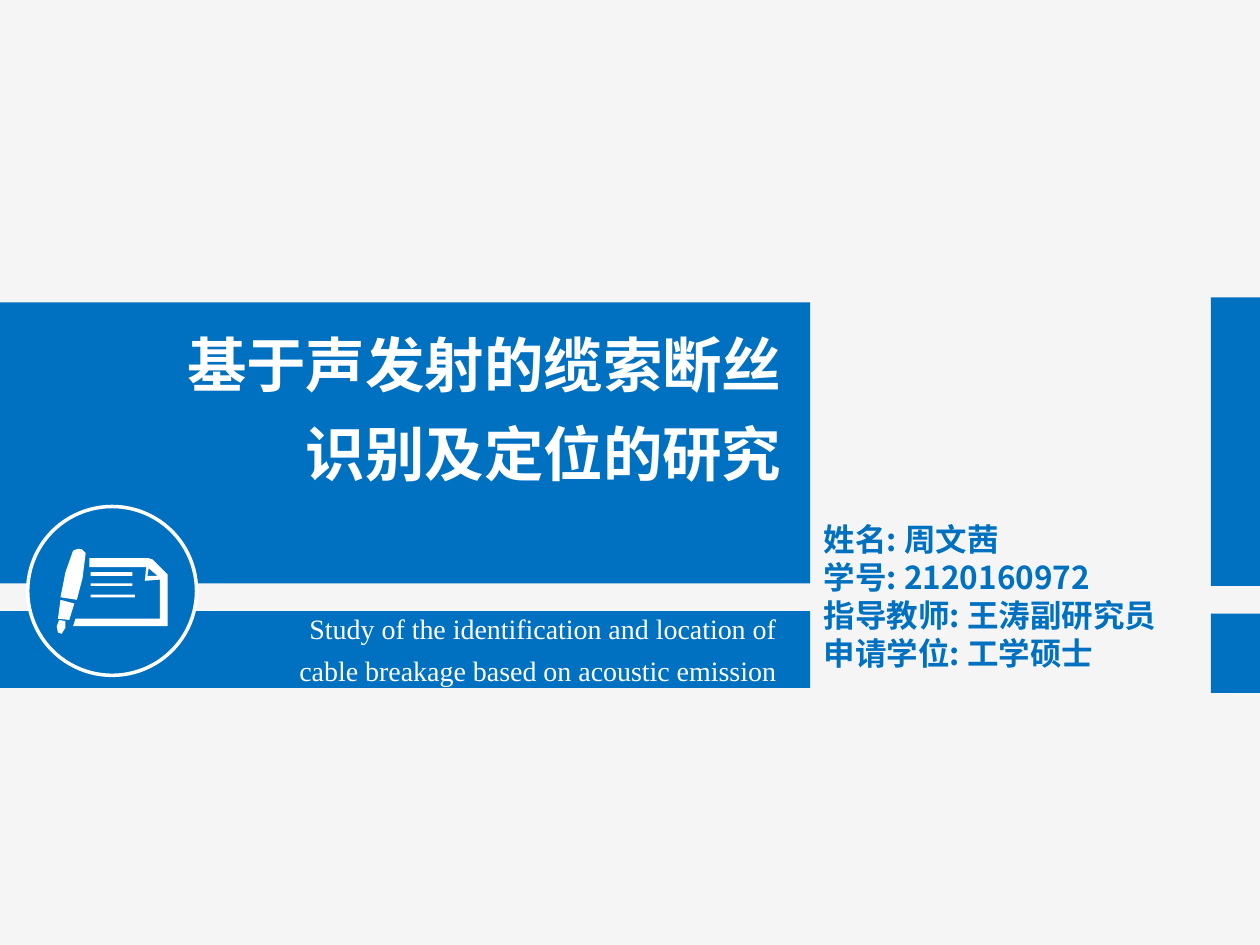
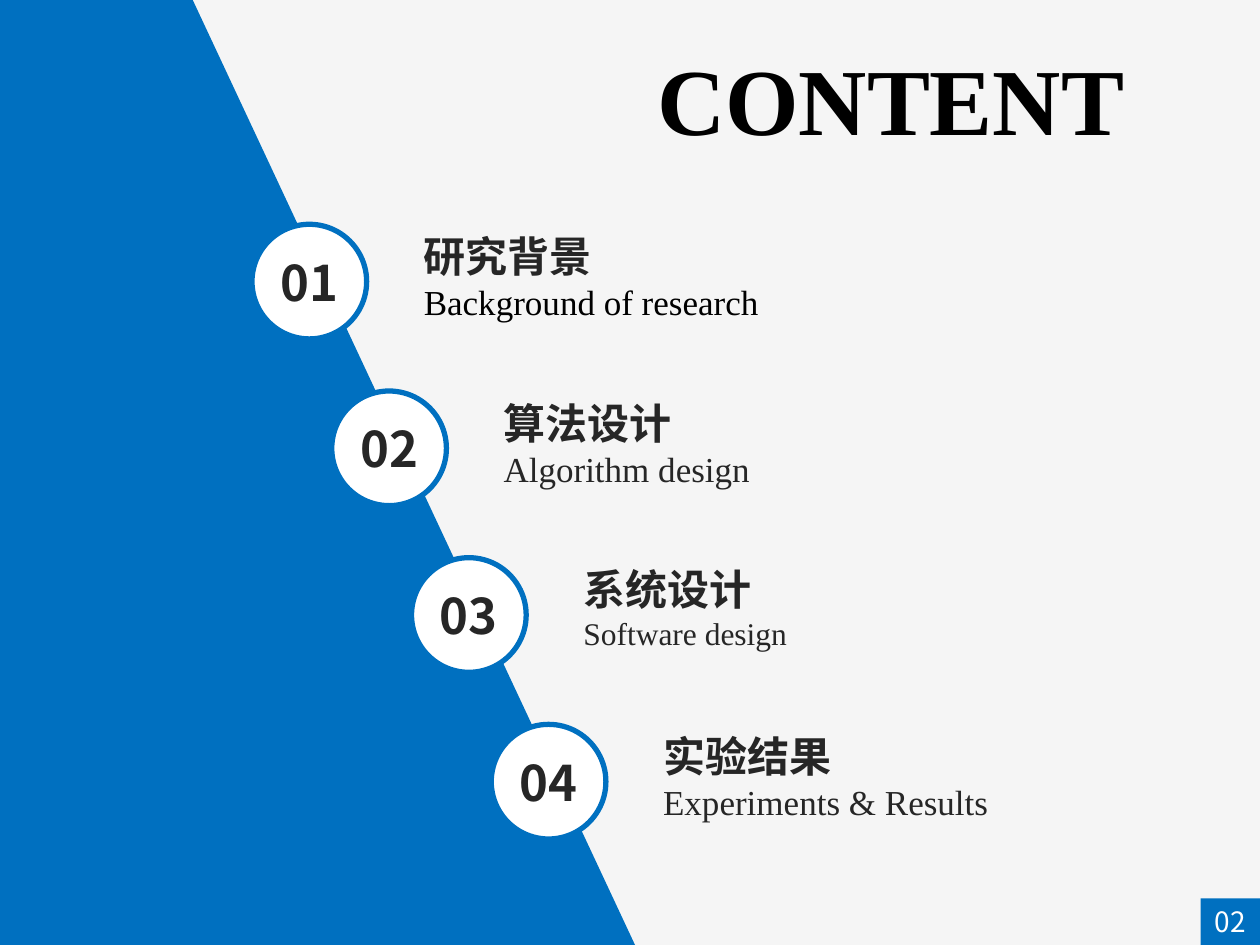
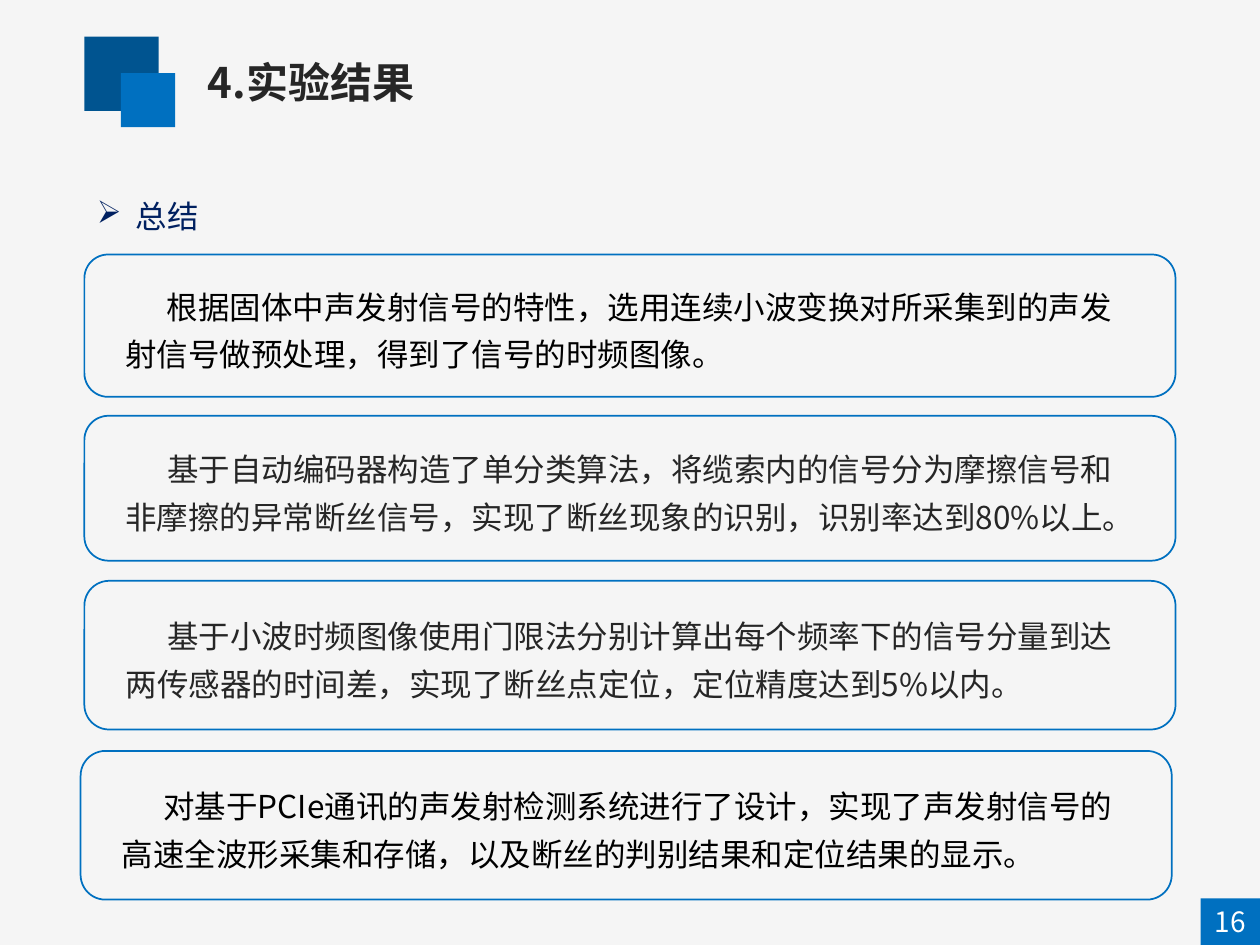
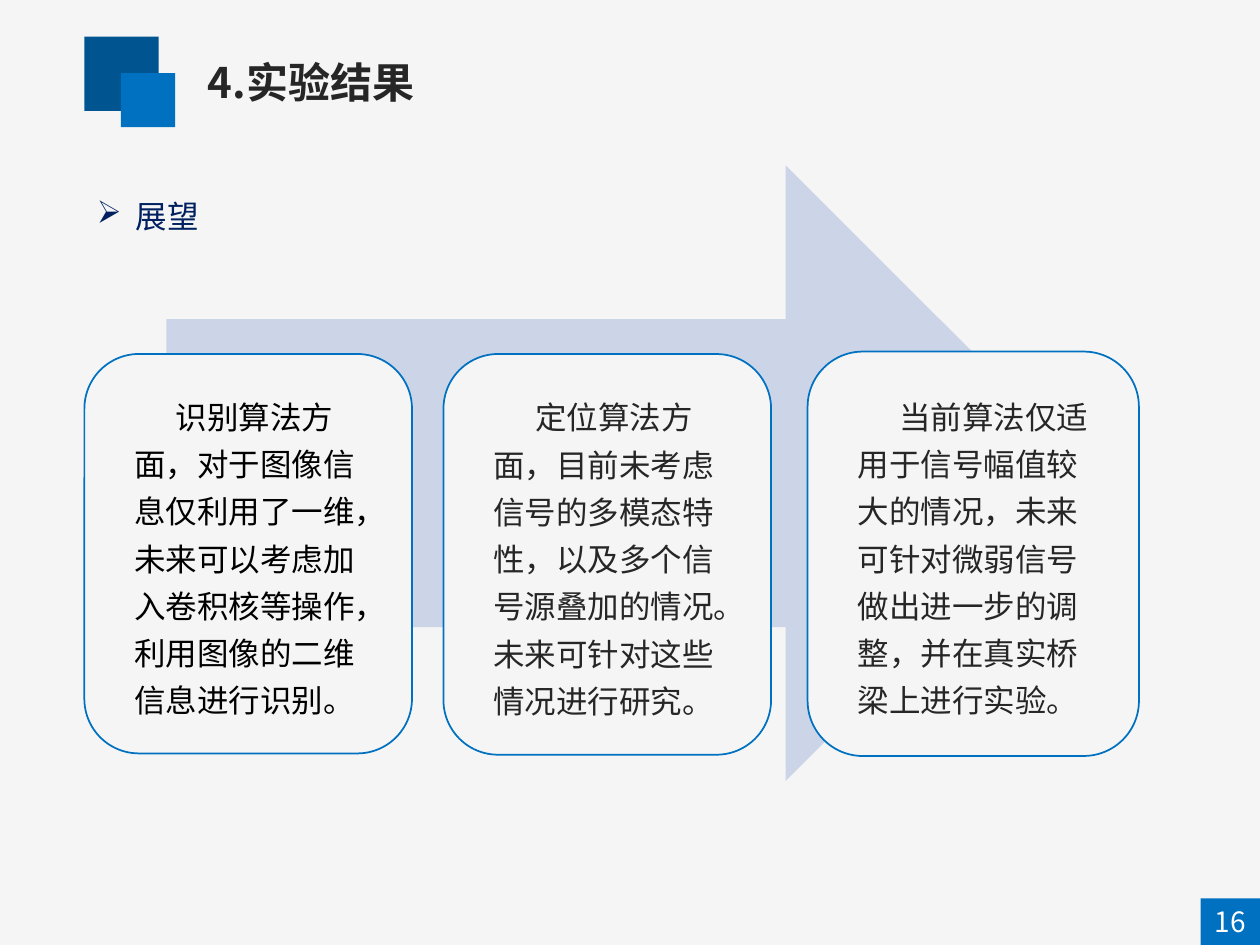
"""Build four slides of a thesis defence on cable breakage detection."""
from dataclasses import dataclass

from lxml.etree import SubElement
from pptx import Presentation
from pptx.dml.color import RGBColor
from pptx.enum.shapes import MSO_SHAPE as Preset
from pptx.enum.text import MSO_ANCHOR as Anchor, MSO_AUTO_SIZE as AutoSize, PP_ALIGN as Align
from pptx.oxml.ns import qn
from pptx.util import Inches, Pt


@dataclass(frozen=True)
class Theme:
    """Colours, fonts, type sizes and grid of the deck."""

    blue: str = "0070C0"
    deep_blue: str = "005490"
    navy: str = "002060"
    pale: str = "CCD5E8"
    paper: str = "F5F5F5"
    white: str = "FFFFFF"
    ink: str = "262626"
    black: str = "000000"
    sans: str = "Noto Sans CJK SC"
    serif: str = "Times New Roman"
    banner: int = 54
    cover: int = 34
    number: int = 28
    heading: int = 24
    caption: int = 20
    body: int = 18
    small: int = 16
    columns: int = 100
    rows: int = 75
    loose: float = 1.25


THEME = Theme()
WIDTH, HEIGHT = Inches(10), Inches(7.5)
COLUMN, ROW = WIDTH / THEME.columns, HEIGHT / THEME.rows
CARD_INSET = Inches(0.27)

PEN_AND_PAPER = (
    ((5.8, 43.7), (6.2, 43.55), (6.5, 43.6), (6.8, 43.9), (6.55, 45.9), (6.1, 47.6),
     (4.8, 47.4), (5.2, 45.4)),
    ((6, 49.1), (5.8, 49.7), (13.3, 49.7), (13.3, 45.6), (12.1, 44.4), (11.8, 44.3),
     (7.1, 44.3), (7.1, 45), (11.6, 45), (11.5, 46.1), (12.7, 46), (12.7, 49.1)),
    ((12.5, 45.7), (11.7, 45.7), (11.8, 45.1)),
    ((7.2, 47.2), (10.7, 47.2), (10.7, 47.4), (7.2, 47.4)),
    ((7.2, 46.3), (10.5, 46.3), (10.5, 46.5), (7.2, 46.5)),
    ((7.2, 45.4), (10.5, 45.4), (10.5, 45.7), (7.2, 45.7)),
    ((4.7, 49.2), (5.2, 49.3), (5.2, 49.8), (4.9, 50.3), (4.6, 50.2), (4.5, 49.7)),
    ((4.8, 47.6), (4.6, 49.1), (5.5, 49.2), (5.9, 47.9)),
)

AUTHOR = ("姓名: 周文茜", "学号: 2120160972", "指导教师: 王涛副研究员", "申请学位: 工学硕士")

CHAPTERS = (
    ("研究背景", "Background of research", THEME.caption, THEME.black),
    ("算法设计", "Algorithm design", THEME.caption, THEME.ink),
    ("系统设计", "Software design", THEME.body, THEME.ink),
    ("实验结果", "Experiments & Results", THEME.caption, THEME.ink),
)

CONCLUSIONS = (
    ((6.7, 20.2, 86.6, 11.3), THEME.black,
     "根据固体中声发射信号的特性，选用连续小波变换对所采集到的声发射信号做预处理，得到了信号的时频图像。"),
    ((6.7, 33, 86.6, 11.5), THEME.ink,
     "基于自动编码器构造了单分类算法，将缆索内的信号分为摩擦信号和非摩擦的异常断丝信号，"
     "实现了断丝现象的识别，识别率达到80%以上。"),
    ((6.7, 46.1, 86.6, 11.8), THEME.ink,
     "基于小波时频图像使用门限法分别计算出每个频率下的信号分量到达两传感器的时间差，"
     "实现了断丝点定位，定位精度达到5%以内。"),
    ((6.4, 59.6, 86.6, 11.8), THEME.black,
     "对基于PCIe通讯的声发射检测系统进行了设计，实现了声发射信号的高速全波形采集和存储，"
     "以及断丝的判别结果和定位结果的显示。"),
)

PROSPECTS = (
    ((6.7, 28.1, 26, 31.7), THEME.black,
     "识别算法方面，对于图像信息仅利用了一维，未来可以考虑加入卷积核等操作，利用图像的二维信息进行识别。"),
    ((35.2, 28.1, 26, 31.8), THEME.ink,
     "定位算法方面，目前未考虑信号的多模态特性，以及多个信号源叠加的情况。未来可针对这些情况进行研究。"),
    ((64.1, 27.9, 26.3, 32.1), THEME.ink,
     "当前算法仅适用于信号幅值较大的情况，未来可针对微弱信号做出进一步的调整，并在真实桥梁上进行实验。"),
)


def on_grid(column, row):
    """Turn a column and a row into slide lengths."""
    return round(column * COLUMN), round(row * ROW)


def place(area):
    """Turn left, top, width and height in grid units into slide lengths."""
    left, top, width, height = area
    return *on_grid(left, top), *on_grid(width, height)


def rgb(code):
    """Turn a hex code into a colour."""
    return RGBColor.from_string(code)


def paint(figure, fill, line=None, weight=1):
    """Give a shape a flat fill and an optional outline."""
    figure.shadow.inherit = False
    figure.fill.solid()
    figure.fill.fore_color.rgb = rgb(fill)
    if line:
        figure.line.color.rgb = rgb(line)
        figure.line.width = Pt(weight)
    else:
        figure.line.fill.background()
    return figure


def block(slide, area, fill, preset=Preset.RECTANGLE, line=None, weight=1):
    """Add a preset shape whose text area has no insets."""
    figure = paint(slide.shapes.add_shape(preset, *place(area)), fill, line, weight)
    inset(figure.text_frame, 0)
    return figure


def outline(slide, contours, fill):
    """Add one filled freeform made of closed contours."""
    first, *others = [[on_grid(*point) for point in contour] for contour in contours]
    builder = slide.shapes.build_freeform(*first[0])
    builder.add_line_segments(first[1:], close=True)
    for contour in others:
        builder.move_to(*contour[0])
        builder.add_line_segments(contour[1:], close=True)
    return paint(builder.convert_to_shape(), fill)


def inset(frame, margin):
    """Set the same inset on all sides of a text frame."""
    frame.margin_left = frame.margin_right = margin
    frame.margin_top = frame.margin_bottom = margin


def text_area(slide, area):
    """Add a wrapping text box that fits its text and return its frame."""
    frame = slide.shapes.add_textbox(*place(area)).text_frame
    frame.word_wrap = True
    frame.auto_size = AutoSize.SHAPE_TO_FIT_TEXT
    return frame


def write(frame, text, *, size=THEME.body, color=THEME.ink, font=THEME.sans, bold=False,
          align=Align.LEFT, spacing=None, margin=0, indent=0, bullet=None):
    """Write one paragraph into the frame, below what it already holds."""
    paragraph = frame.paragraphs[0] if not frame.text else frame.add_paragraph()
    properties = paragraph._p.get_or_add_pPr()
    properties.set("marL", str(Inches(margin)))
    properties.set("indent", str(Inches(indent)))
    if bullet:
        SubElement(properties, qn("a:buChar")).set("char", bullet)
    paragraph.alignment = align
    paragraph.line_spacing = spacing
    run = paragraph.add_run()
    run.text = text
    run.font.size = Pt(size)
    run.font.bold = bold
    run.font.name = font
    run.font.color.rgb = rgb(color)
    SubElement(run._r.get_or_add_rPr(), qn("a:ea")).set("typeface", font)


def new_slide(deck):
    """Add a blank slide on the paper colour."""
    slide = deck.slides.add_slide(deck.slide_layouts[6])
    slide.background.fill.solid()
    slide.background.fill.fore_color.rgb = rgb(THEME.paper)
    return slide


def page_number(slide, number):
    """Add the page tag in the lower right corner."""
    tag = block(slide, (95.3, 71.3, 4.7, 3.7), THEME.blue)
    write(tag.text_frame, number, size=THEME.small, color=THEME.white, align=Align.CENTER)


def card(slide, area, color, text):
    """Add a rounded card with one indented paragraph."""
    frame = block(slide, area, THEME.paper, Preset.ROUNDED_RECTANGLE, THEME.blue).text_frame
    frame.word_wrap = True
    frame.vertical_anchor = Anchor.MIDDLE
    inset(frame, CARD_INSET)
    write(frame, text, color=color, spacing=THEME.loose, indent=0.33)


def section_slide(deck, title, topic, number):
    """Add a slide with the section heading, topic and page number."""
    slide = new_slide(deck)
    block(slide, (6.7, 2.9, 5.9, 5.9), THEME.deep_blue)
    block(slide, (9.6, 5.8, 4.3, 4.3), THEME.blue)
    write(text_area(slide, (15.5, 4, 77.8, 5)), title, size=THEME.heading, bold=True)
    write(text_area(slide, (6.7, 15.1, 63.2, 3.9)), topic, color=THEME.navy,
          spacing=Pt(22), margin=0.31, indent=-0.31, bullet="➢")
    page_number(slide, number)
    return slide


def cover_slide(deck):
    """Add the cover with title, author data and emblem."""
    slide = new_slide(deck)
    author = text_area(slide, (64.4, 40.8, 36.9, 13.1))
    for line in AUTHOR:
        write(author, line, color=THEME.blue, bold=True)
    for band in ((96.1, 23.6, 3.9, 22.9), (96.1, 48.7, 3.9, 6.3),
                 (0, 48.5, 64.3, 6.1), (0, 24, 64.3, 22.3)):
        block(slide, band, THEME.blue)
    title = text_area(slide, (5.6, 24.1, 57.4, 15.3))
    for line in ("基于声发射的缆索断丝", "识别及定位的研究"):
        write(title, line, size=THEME.cover, color=THEME.white, bold=True,
              align=Align.RIGHT, spacing=THEME.loose)
    write(text_area(slide, (21.3, 47.4, 41.3, 7.7)),
          "Study of the identification and location of cable breakage based on acoustic emission",
          size=THEME.small, color=THEME.white, font=THEME.serif,
          align=Align.RIGHT, spacing=THEME.loose)
    block(slide, (2.2, 40.2, 13.4, 13.4), THEME.blue, Preset.OVAL, THEME.white, 2)
    outline(slide, PEN_AND_PAPER, THEME.white)


def contents_slide(deck):
    """Add the contents with chapters stepping down the slanted edge."""
    slide = new_slide(deck)
    outline(slide, [((0, 0), (15.3, 0), (50.4, 75), (0, 75))], THEME.blue)
    for step, (chapter, english, size, color) in enumerate(CHAPTERS):
        left, top = 20 + 6.33 * step, 17.8 + 13.23 * step
        badge = block(slide, (left, top, 9.1, 9.1), THEME.white, Preset.OVAL, THEME.blue, 3)
        badge.text_frame.word_wrap = False
        write(badge.text_frame, f"{step + 1:02}", size=THEME.number, bold=True,
              align=Align.CENTER)
        name_left = left + 12.65
        name = text_area(slide, (name_left, top, 93.7 - name_left, 8.4))
        write(name, chapter, size=THEME.heading, bold=True)
        write(name, english, size=size, color=color, font=THEME.serif)
    write(text_area(slide, (47.7, 2.8, 46, 10.1)), "CONTENT", size=THEME.banner,
          color=THEME.black, font=THEME.serif, bold=True, align=Align.CENTER)
    page_number(slide, "02")


def conclusions_slide(deck):
    """Add the summary with a stack of cards."""
    slide = section_slide(deck, "4.实验结果", "总结", "16")
    for conclusion in CONCLUSIONS:
        card(slide, *conclusion)


def prospects_slide(deck):
    """Add the outlook with cards along an arrow."""
    slide = section_slide(deck, "4.实验结果", "展望", "16")
    block(slide, (13.2, 13.1, 73.6, 48.9), THEME.pale, Preset.RIGHT_ARROW)
    for prospect in PROSPECTS:
        card(slide, *prospect)


def main():
    """Build and save the deck."""
    deck = Presentation()
    deck.slide_width, deck.slide_height = WIDTH, HEIGHT
    cover_slide(deck)
    contents_slide(deck)
    conclusions_slide(deck)
    prospects_slide(deck)
    deck.save("out.pptx")


if __name__ == "__main__":
    main()
